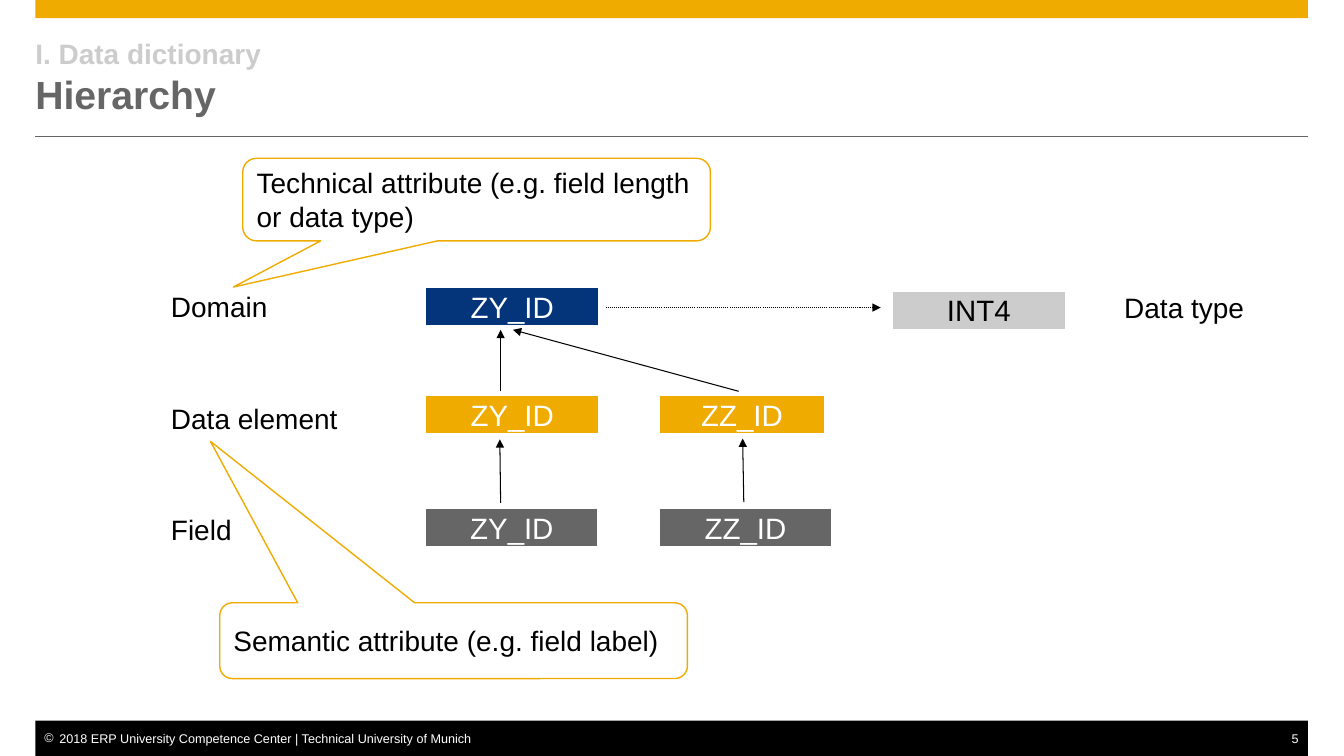
"""Build the data dictionary hierarchy slide."""
from lxml import etree
from pptx import Presentation
from pptx.dml.color import RGBColor
from pptx.enum import dml, shapes, text
from pptx.oxml import ns
from pptx.util import Cm, Pt

GOLD = RGBColor(0xF0, 0xAB, 0x00)
NAVY = RGBColor(0x04, 0x35, 0x7B)
GRAY = RGBColor(0x66, 0x66, 0x66)
SILVER = RGBColor(0xCC, 0xCC, 0xCC)
BLACK = RGBColor(0x00, 0x00, 0x00)
WHITE = RGBColor(0xFF, 0xFF, 0xFF)
LEFT, WIDTH = 0.89, 32.08

presentation = Presentation()
presentation.slide_width, presentation.slide_height = Cm(33.88), Cm(19.05)
slide = presentation.slides.add_slide(presentation.slide_layouts[6])


def add_block(content, box, kind=None, fill=None, line=None, line_width=1.5, size=20,
              color=BLACK, align=text.PP_ALIGN.LEFT, anchor=text.MSO_ANCHOR.TOP,
              insets=(0, 0, 0, 0), wrap=False, bold=False):
    """Add a text box or shape holding formatted text."""
    position = [Cm(length) for length in box]
    if kind is None:
        shape = slide.shapes.add_textbox(*position)
    else:
        shape = slide.shapes.add_shape(kind, *position)
        shape.shadow.inherit = False
        if fill is None:
            shape.fill.background()
        else:
            shape.fill.solid()
            shape.fill.fore_color.rgb = fill
        if line is None:
            shape.line.fill.background()
        else:
            shape.line.color.rgb = line
            shape.line.width = Pt(line_width)
    frame = shape.text_frame
    frame.word_wrap = wrap
    frame.vertical_anchor = anchor
    frame.margin_left, frame.margin_top, frame.margin_right, frame.margin_bottom = map(Cm, insets)
    paragraph = frame.paragraphs[0]
    paragraph.alignment = align
    if content:
        run = paragraph.add_run()
        run.text = content
        run.font.name, run.font.size, run.font.bold = "Arial", Pt(size), bold
        run.font.color.rgb = color
    return shape


def add_line(start, end, color=BLACK, width=0.75, arrow=True):
    """Add a straight line, with an arrowhead at its end if wanted."""
    points = [Cm(length) for length in start + end]
    connector = slide.shapes.add_connector(shapes.MSO_CONNECTOR.STRAIGHT, *points)
    connector.line.color.rgb = color
    connector.line.width = Pt(width)
    if arrow:
        outline = connector.line._get_or_add_ln()
        etree.SubElement(outline, ns.qn("a:tailEnd"), type="triangle")
    etree.SubElement(connector._element.spPr, ns.qn("a:effectLst"))
    return connector


RECTANGLE = shapes.MSO_SHAPE.RECTANGLE
MIDDLE = text.MSO_ANCHOR.MIDDLE

add_block("", (LEFT, 0, WIDTH, 0.46), kind=RECTANGLE, fill=GOLD)
add_line((LEFT, 3.43), (LEFT + WIDTH, 3.43), color=GRAY, width=0.5, arrow=False)
add_block("", (LEFT, 18.16, WIDTH, 0.89), kind=RECTANGLE, fill=BLACK)

copyright_box = add_block(
    "2018 ERP University Competence Center | Technical University of Munich",
    (LEFT, 18.42, 11.13, 0.38), size=9, color=WHITE, insets=(0.23, 0, 0, 0))
properties = copyright_box.text_frame.paragraphs[0]._p.get_or_add_pPr()
properties.set("marL", str(Cm(0.38)))
properties.set("indent", str(Cm(-0.38)))
bullet_color = etree.SubElement(properties, ns.qn("a:buClr"))
etree.SubElement(bullet_color, ns.qn("a:srgbClr"), val=str(WHITE))
etree.SubElement(properties, ns.qn("a:buFont"), typeface="Arial")
etree.SubElement(properties, ns.qn("a:buChar"), char="©")
add_block("5", (32.33, 18.42, 0.64, 0.38), size=9, color=WHITE,
          align=text.PP_ALIGN.RIGHT, insets=(0, 0, 0.23, 0))

title = add_block("I. Data dictionary", (LEFT, 0.89, WIDTH, 2.11), color=SILVER,
                  anchor=MIDDLE, wrap=True, bold=True)
title_paragraph = title.text_frame.paragraphs[0]
title_paragraph.add_line_break()
heading = title_paragraph.add_run()
heading.text = "Hierarchy"
heading.font.name, heading.font.size, heading.font.bold = "Arial", Pt(28), True
heading.font.color.rgb = GRAY

for label, left, top, width in [
    ("Domain", 4.06, 7.16, 2.97),
    ("Data element", 4.06, 9.98, 4.75),
    ("Field", 4.06, 12.78, 2.06),
    ("Data type", 28.09, 7.19, 3.56),
]:
    add_block(label, (left, top, width, 1.12), insets=(0.25, 0.13, 0.25, 0.13))

for name, left, top, width, fill, color in [
    ("ZY_ID", 10.72, 7.24, 4.39, NAVY, WHITE),
    ("ZY_ID", 10.72, 9.96, 4.39, GOLD, WHITE),
    ("ZZ_ID", 16.61, 9.96, 4.19, GOLD, WHITE),
    ("ZY_ID", 10.72, 12.8, 4.37, GRAY, WHITE),
    ("ZZ_ID", 16.61, 12.8, 4.37, GRAY, WHITE),
    ("INT4", 22.48, 7.32, 4.39, SILVER, BLACK),
]:
    add_block(name, (left, top, width, 0.99), kind=RECTANGLE, fill=fill, line=WHITE,
              size=21, color=color, align=text.PP_ALIGN.CENTER, anchor=MIDDLE)

for start, end in [
    ((12.62, 9.86), (12.62, 8.31)),
    ((18.62, 9.86), (12.93, 8.31)),
    ((18.75, 12.65), (18.72, 11.05)),
    ((12.62, 12.67), (12.6, 11.07)),
]:
    add_line(start, end)
type_arrow = add_line((15.27, 7.75), (22.2, 7.75))
type_arrow.line.dash_style = dml.MSO_LINE.ROUND_DOT

for note, box, tip in [
    ("Semantic attribute (e.g. field label)", (5.54, 15.19, 11.79, 1.91), (-0.52, -2.63)),
    ("Technical attribute (e.g. field length or data type)", (6.12, 3.99, 11.79, 2.08),
     (-0.52, 1.06)),
]:
    callout = add_block(note, box, kind=shapes.MSO_SHAPE.ROUNDED_RECTANGULAR_CALLOUT,
                        line=GOLD, line_width=1, anchor=MIDDLE,
                        insets=(0.25, 0.2, 0.25, 0.2), wrap=True)
    callout.adjustments[0], callout.adjustments[1] = tip

presentation.save("out.pptx")
